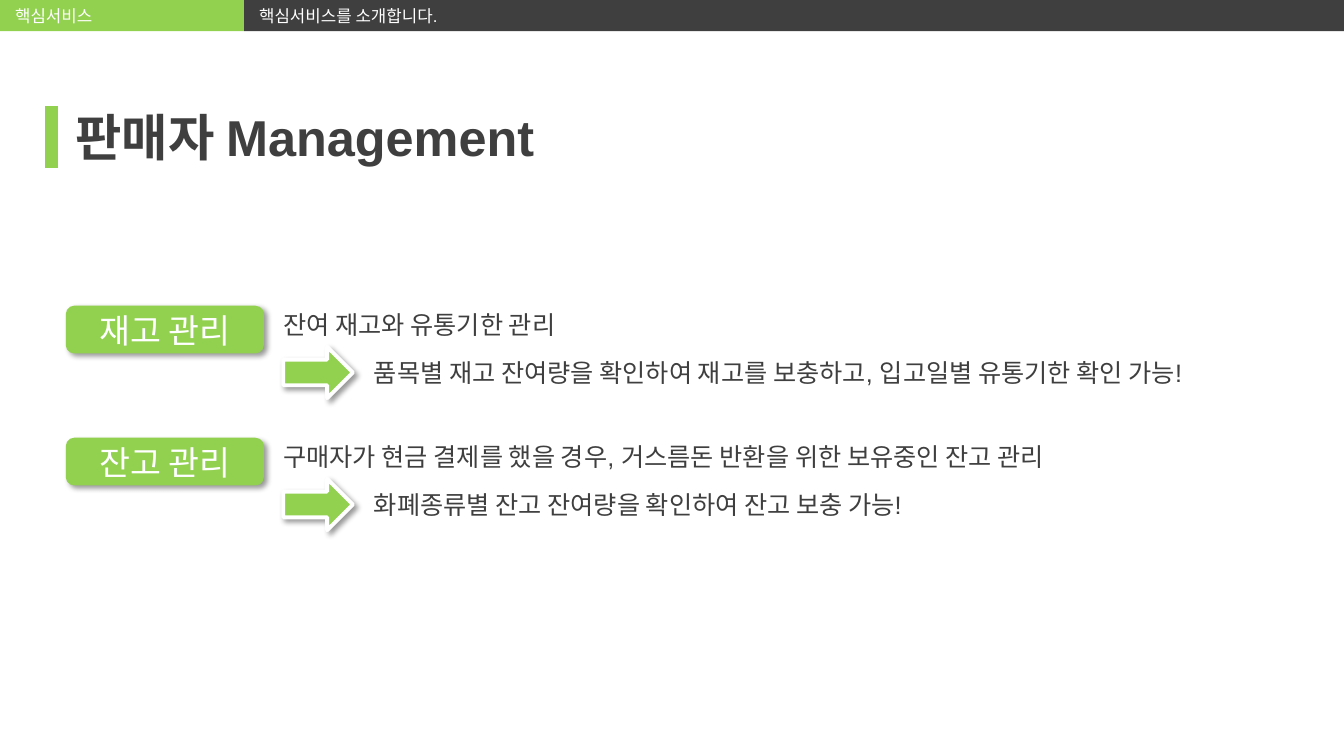
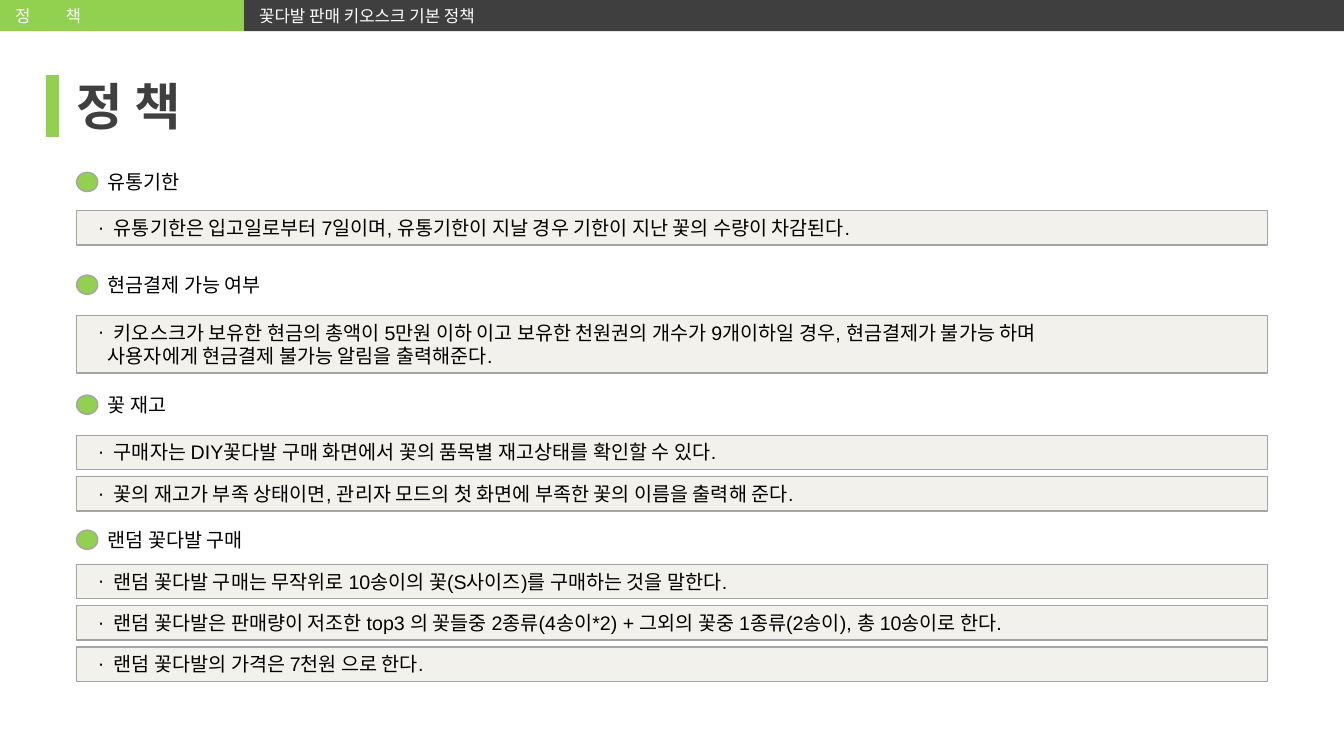
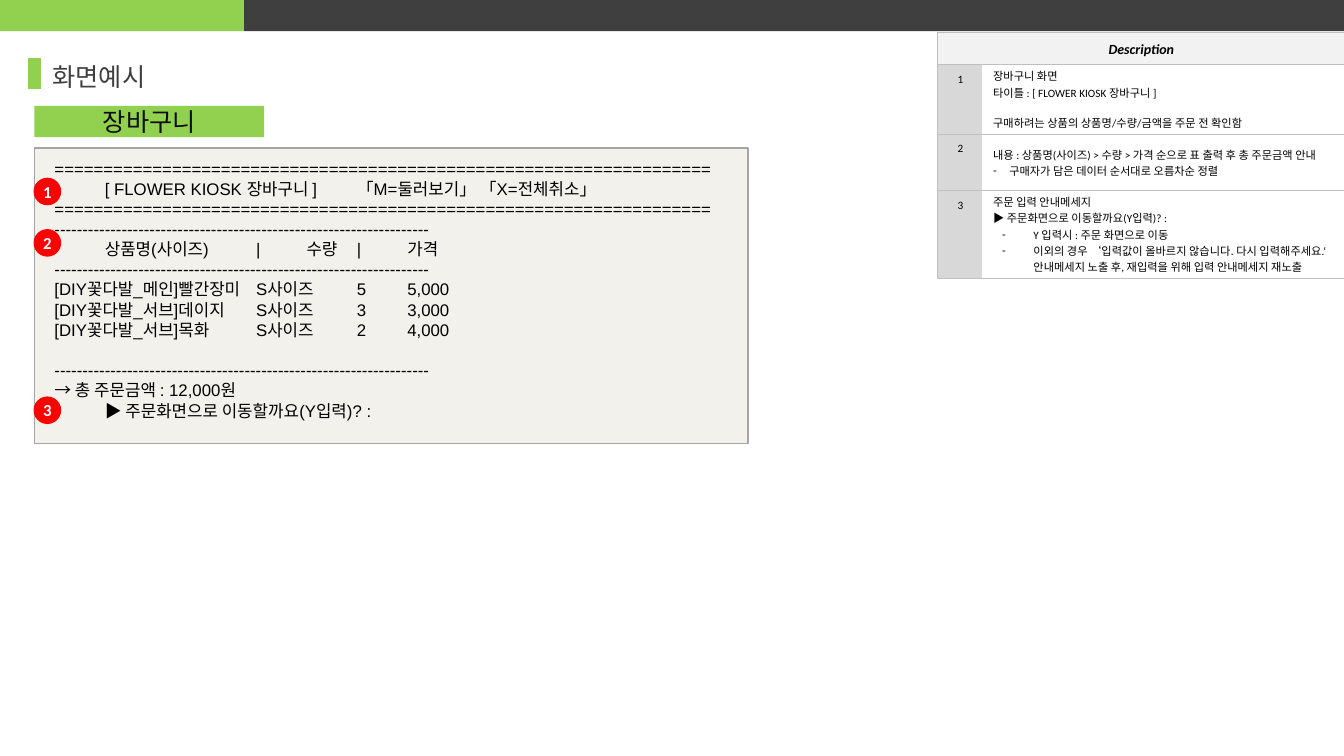
"""Build three slides about a flower kiosk: seller management, policies, cart screen."""
from dataclasses import dataclass

from lxml.etree import SubElement
from pptx import Presentation
from pptx.dml.color import RGBColor
from pptx.enum.shapes import MSO_CONNECTOR, MSO_SHAPE
from pptx.enum.text import MSO_ANCHOR, MSO_AUTO_SIZE, PP_ALIGN
from pptx.oxml.ns import qn
from pptx.util import Inches, Pt


@dataclass(frozen=True)
class Theme:
    """Colours, fonts and type sizes of the deck."""
    green: str = "92D050"
    dark: str = "3F3F3F"
    white: str = "FFFFFF"
    black: str = "000000"
    ink: str = "0C0C0C"
    grey: str = "A5A5A5"
    sand: str = "D2CAB5"
    red: str = "FF0000"
    head_fill: str = "F2F2F2"
    head_line: str = "BFBFBF"
    number_fill: str = "D8D8D8"
    border: str = "C0C0C0"
    font: str = "Arial"
    alt_font: str = "Calibri"
    title: int = 36
    tag: int = 24
    text: int = 18
    policy: int = 14
    small: int = 12
    head: int = 10
    table: int = 8


@dataclass(frozen=True)
class Line:
    """One paragraph with its tab stops, indents, bullet and space before."""
    text: str
    tabs: tuple = ()
    margin: float = 0
    indent: float = 0
    bullet: str = ""
    before: float = 0


T = Theme()
WIDTH, HEIGHT = 13.33, 7.5
BAND_SPLIT, BAND_HEIGHT = 2.42, 0.31

MANAGEMENT = [
    (3.04, "재고 관리", "잔여 재고와 유통기한 관리",
     "품목별 재고 잔여량을 확인하여 재고를 보충하고, 입고일별 유통기한 확인 가능!"),
    (4.35, "잔고 관리", "구매자가 현금 결제를 했을 경우, 거스름돈 반환을 위한 보유중인 잔고 관리",
     "화폐종류별 잔고 잔여량을 확인하여 잔고 보충 가능!"),
]

POLICIES = [
    (1.64, 2.09, "유통기한",
     [["유통기한은 입고일로부터 7일이며, 유통기한이 지날 경우 기한이 지난 꽃의 수량이 차감된다."]]),
    (2.66, 3.13, "현금결제 가능 여부",
     [["키오스크가 보유한 현금의 총액이 5만원 이하 이고 보유한 천원권의 개수가 9개이하일 경우, "
       "현금결제가 불가능 하며", "사용자에게 현금결제 불가능 알림을 출력해준다."]]),
    (3.85, 4.32, "꽃 재고",
     [["구매자는 DIY꽃다발 구매 화면에서 꽃의 품목별 재고상태를 확인할 수 있다."],
      ["꽃의 재고가 부족 상태이면, 관리자 모드의 첫 화면에 부족한 꽃의 이름을 출력해 준다."]]),
    (5.19, 5.6, "랜덤 꽃다발 구매",
     [["랜덤 꽃다발 구매는 무작위로 10송이의 꽃(S사이즈)를 구매하는 것을 말한다."],
      ["랜덤 꽃다발은 판매량이 저조한 top3 의 꽃들중 2종류(4송이*2) + 그외의 꽃중 "
       "1종류(2송이), 총 10송이로 한다."],
      ["랜덤 꽃다발의 가격은 7천원 으로 한다."]]),
]

DOUBLE_RULE, RULE = Line("=" * 67), Line("-" * 67)
CONSOLE = [
    DOUBLE_RULE,
    Line("\t[ FLOWER KIOSK 장바구니 ]\t「M=둘러보기」 「X=전체취소」", (0.14, 4.34)),
    DOUBLE_RULE,
    RULE,
    Line("\t상품명(사이즈)\t|\t수량\t|\t가격", (0.74, 2.73, 2.9, 3.34, 3.52)),
    RULE,
    Line("[DIY꽃다발_메인]빨간장미\tS사이즈\t5\t5,000", (2.21, 3.1, 3.47)),
    Line("[DIY꽃다발_서브]데이지\tS사이즈\t3\t3,000", (2.06, 3.14, 3.5)),
    Line("[DIY꽃다발_서브]목화\tS사이즈\t2\t4,000", (1.91, 3.17, 3.54)),
    Line("-" * 67, before=14.5),
    Line("→ 총 주문금액 : 12,000원"),
    Line("\t▶ 주문화면으로 이동할까요(Y입력)? :", (0.06,)),
]

DESCRIPTION = [
    (0.69, [Line("장바구니 화면", margin=0.1),
            Line("타이틀 : [ FLOWER KIOSK 장바구니 ]", margin=0.1),
            Line("구매하려는 상품의 상품명/수량/금액을 주문 전 확인함", margin=0.1, before=10)]),
    (0.56, [Line("내용 : 상품명(사이즈) > 수량 > 가격 순으로 표 출력 후 총 주문금액 안내", margin=0.1),
            Line("구매자가 담은 데이터 순서대로 오름차순 정렬", margin=0.26, indent=-0.16, bullet="-")]),
    (0.87, [Line("주문 입력 안내메세지", margin=0.1),
            Line("▶ 주문화면으로 이동할까요(Y입력)? :", margin=0.1),
            Line("Y 입력시 : 주문 화면으로 이동", margin=0.5, indent=-0.31, bullet="-"),
            Line("이외의 경우 ‘입력값이 올바르지 않습니다. 다시 입력해주세요.‘ 안내메세지 노출 후, "
                 "재입력을 위해 입력 안내메세지 재노출", margin=0.5, indent=-0.31, bullet="-")]),
]


def rgb(color):
    """Return a colour object for a hex string."""
    return RGBColor.from_string(color)


def box(*lengths):
    """Turn inch numbers into lengths."""
    return [Inches(n) for n in lengths]


def set_all(target, values):
    """Set each attribute named in a dict of format values."""
    for name, value in values.items():
        setattr(target, name, value)


def format_paragraph(p, line):
    """Apply the spacing, indents, bullet and tab stops of a line."""
    p.space_before = Pt(line.before)
    pPr = p._p.get_or_add_pPr()
    pPr.set("marL", str(Inches(line.margin)))
    pPr.set("indent", str(Inches(line.indent)))
    if line.bullet:
        SubElement(pPr, qn("a:buFont"), typeface=T.font)
        SubElement(pPr, qn("a:buChar"), char=line.bullet)
    else:
        SubElement(pPr, qn("a:buNone"))
    if line.tabs:
        tab_list = SubElement(pPr, qn("a:tabLst"))
        for stop in line.tabs:
            SubElement(tab_list, qn("a:tab"), pos=str(Inches(stop)), algn="l")


def write(tf, lines, size, color=T.black, align=PP_ALIGN.LEFT, **font):
    """Write lines into a text frame in one style."""
    for i, line in enumerate(lines):
        line = line if isinstance(line, Line) else Line(line)
        p = tf.paragraphs[0] if i == 0 else tf.add_paragraph()
        p.alignment = align
        format_paragraph(p, line)
        r = p.add_run()
        r.text = line.text
        set_all(r.font, {"size": Pt(size), "name": T.font, **font})
        r.font.color.rgb = rgb(color)


def frame(target, anchor=MSO_ANCHOR.MIDDLE, insets=(0.1, 0.05, 0.1, 0.05)):
    """Set the anchor and insets of a text frame or table cell."""
    sides = ("margin_left", "margin_top", "margin_right", "margin_bottom")
    set_all(target, {"vertical_anchor": anchor, **dict(zip(sides, box(*insets)))})


def add_shadow(sp):
    """Give a shape a soft diagonal shadow."""
    effects = sp._element.spPr.find(qn("a:effectLst"))
    shadow = SubElement(effects, qn("a:outerShdw"), blurRad=str(Pt(4)), dist=str(Pt(3)),
                        dir=str(45 * 60000), algn="tl", rotWithShape="0")
    color = SubElement(shadow, qn("a:srgbClr"), val=T.black)
    SubElement(color, qn("a:alpha"), val="40000")


def add_shape(slide, kind, place, fill, line=None, weight=1, shadow=False):
    """Add a filled shape, with an outline and shadow if wanted."""
    sp = slide.shapes.add_shape(kind, *box(*place))
    sp.shadow.inherit = False
    sp.fill.solid()
    sp.fill.fore_color.rgb = rgb(fill)
    if line:
        sp.line.color.rgb = rgb(line)
        sp.line.width = Pt(weight)
    else:
        sp.line.fill.background()
    if shadow:
        add_shadow(sp)
    return sp


def add_panel(slide, place, lines, size, insets):
    """Add a translucent sand panel with text from its top."""
    sp = add_shape(slide, MSO_SHAPE.RECTANGLE, place, T.sand, T.grey)
    color = sp._element.spPr.find(qn("a:solidFill")).find(qn("a:srgbClr"))
    SubElement(color, qn("a:alpha"), val="26000")
    frame(sp.text_frame, MSO_ANCHOR.TOP, insets)
    write(sp.text_frame, lines, size)


def add_text(slide, place, text, size, color, **layout):
    """Add a wrapping text box."""
    tf = slide.shapes.add_textbox(*box(*place)).text_frame
    tf.word_wrap = True
    frame(tf, **layout)
    write(tf, [text], size, color)


def add_bands(slide, section, summary):
    """Add the two bands across the top."""
    for left, width, fill, line in ((0, BAND_SPLIT, T.green, section),
                                    (BAND_SPLIT, WIDTH - BAND_SPLIT, T.dark, summary)):
        sp = add_shape(slide, MSO_SHAPE.RECTANGLE, (left, 0, width, BAND_HEIGHT), fill)
        if line:
            frame(sp.text_frame, insets=(0.15, 0.06, 0.06, 0.06))
            write(sp.text_frame, [line], T.small, T.white)


def add_title(slide, text, left, top, bar, size=T.title, bold=True):
    """Place the title and the green bar beside it."""
    sp = slide.shapes.title
    set_all(sp, dict(zip(("left", "top", "width", "height"), box(left, top, 5.29, 0.88))))
    set_all(sp.text_frame, {"auto_size": MSO_AUTO_SIZE.NONE, "word_wrap": True})
    frame(sp.text_frame, insets=(0, 0, 0, 0))
    write(sp.text_frame, [text], size, T.dark, bold=bold)
    x, start, end = bar
    cxn = slide.shapes.add_connector(MSO_CONNECTOR.STRAIGHT, *box(x, start, x, end))
    cxn.line.color.rgb = rgb(T.green)
    cxn.line.width = Pt(9)
    SubElement(cxn._element.spPr, qn("a:effectLst"))


def add_slide(prs, section="", summary=""):
    """Add a title-only slide with the shared bands."""
    slide = prs.slides.add_slide(prs.slide_layouts[5])
    add_bands(slide, section, summary)
    return slide


def add_management(slide, top, tag, summary, detail):
    """Add a tagged topic with a summary and an arrowed detail."""
    sp = add_shape(slide, MSO_SHAPE.ROUNDED_RECTANGLE, (0.66, top, 1.95, 0.46),
                   T.green, T.green, shadow=True)
    frame(sp.text_frame)
    write(sp.text_frame, [tag], T.tag, T.white, PP_ALIGN.CENTER)
    add_text(slide, (2.81, top + 0.02, 9.19, 0.31), summary, T.text, T.dark, insets=(0, 0, 0, 0))
    add_text(slide, (3.61, top + 0.46, 9.47, 0.4), detail, T.text, T.dark, anchor=MSO_ANCHOR.TOP)
    add_shape(slide, MSO_SHAPE.RIGHT_ARROW, (2.81, top + 0.4, 0.69, 0.51),
              T.green, T.white, 2.75, shadow=True)


def add_policy(slide, top, first_rule, heading, rules):
    """Add a policy heading and its panels of rules."""
    add_shape(slide, MSO_SHAPE.OVAL, (0.76, top + 0.07, 0.21, 0.19), T.green, T.grey)
    add_text(slide, (0.97, top, 2.66, 0.34), heading, T.policy, T.black, anchor=MSO_ANCHOR.TOP)
    for i, (rule, *more) in enumerate(rules):
        lines = [Line(rule, margin=0.16, indent=-0.16, bullet="·")]
        lines += [Line(text, margin=0.1) for text in more]
        place = (0.76, first_rule + 0.41 * i, 11.81, 0.34 + 0.23 * len(more))
        add_panel(slide, place, lines, T.policy, (0.21, 0.05, 0.1, 0.05))


def add_badge(slide, top, number):
    """Add a red numbered circle on the left edge of the screen."""
    sp = add_shape(slide, MSO_SHAPE.OVAL, (0.34, top, 0.26, 0.26), T.red, T.red)
    frame(sp.text_frame)
    sp.text_frame.word_wrap = False
    write(sp.text_frame, [str(number)], T.small, T.white, PP_ALIGN.CENTER,
          name=T.alt_font, bold=True)


def style_cell(cell, fill, sides):
    """Set the fill of a cell and the borders on the given sides."""
    tcPr = cell._tc.get_or_add_tcPr()
    for side in sides:
        ln = SubElement(tcPr, qn("a:ln" + side), w=str(Pt(0.75)))
        SubElement(SubElement(ln, qn("a:solidFill")), qn("a:srgbClr"), val=T.border)
    cell.fill.solid()
    cell.fill.fore_color.rgb = rgb(fill)


def add_description(slide):
    """Add the description heading and its numbered table."""
    left, top, width, head = 9.3, 0.32, 4.04, 0.32
    heights = [height for height, _ in DESCRIPTION]
    table = slide.shapes.add_table(len(heights), 2,
                                   *box(left, top + head, width, sum(heights))).table
    set_all(table, {"first_row": False, "horz_banding": False})
    for column, size in zip(table.columns, (0.45, 3.59)):
        column.width = Inches(size)
    for i, (height, lines) in enumerate(DESCRIPTION):
        table.rows[i].height = Inches(height)
        number, notes = table.cell(i, 0), table.cell(i, 1)
        frame(number, MSO_ANCHOR.TOP, (0.04, 0.08, 0.04, 0.08))
        frame(notes, insets=(0, 0.03, 0, 0.03))
        write(number.text_frame, [str(i + 1)], T.table, align=PP_ALIGN.CENTER, name=T.alt_font)
        write(notes.text_frame, lines, T.table, name=T.alt_font)
        style_cell(number, T.number_fill, "LTB")
        style_cell(notes, T.white, "RTB")
    sp = add_shape(slide, MSO_SHAPE.RECTANGLE, (left, top, width, head), T.head_fill, T.head_line)
    frame(sp.text_frame)
    write(sp.text_frame, ["Description"], T.head, align=PP_ALIGN.CENTER,
          name=T.alt_font, bold=True, italic=True)


def build_management(prs):
    """Build the seller management slide."""
    slide = add_slide(prs, "핵심서비스", "핵심서비스를 소개합니다.")
    add_title(slide, "판매자 Management", 0.75, 0.91, (0.51, 1.05, 1.67))
    for topic in MANAGEMENT:
        add_management(slide, *topic)


def build_policies(prs):
    """Build the policy slide."""
    slide = add_slide(prs, Line("정\t책", (0.34,)), "꽃다발 판매 키오스크 기본 정책")
    add_title(slide, "정 책", 0.76, 0.61, (0.52, 0.74, 1.36))
    for policy in POLICIES:
        add_policy(slide, *policy)


def build_cart(prs):
    """Build the cart screen slide."""
    slide = add_slide(prs)
    add_title(slide, "화면예시", 0.52, 0.32, (0.34, 0.58, 0.88), T.text, False)
    add_description(slide)
    add_panel(slide, (0.34, 1.47, 7.08, 2.93), CONSOLE, T.small, (0.2, 0.1, 0, 0.1))
    for number, top in enumerate((1.77, 2.28, 3.94), 1):
        add_badge(slide, top, number)
    sp = add_shape(slide, MSO_SHAPE.RECTANGLE, (0.34, 1.05, 2.28, 0.31), T.green)
    frame(sp.text_frame)
    write(sp.text_frame, ["장바구니"], T.text, T.ink, PP_ALIGN.CENTER)


def main():
    """Build and save the deck."""
    prs = Presentation()
    set_all(prs, {"slide_width": Inches(WIDTH), "slide_height": Inches(HEIGHT)})
    for build in (build_management, build_policies, build_cart):
        build(prs)
    prs.save("out.pptx")


main()
